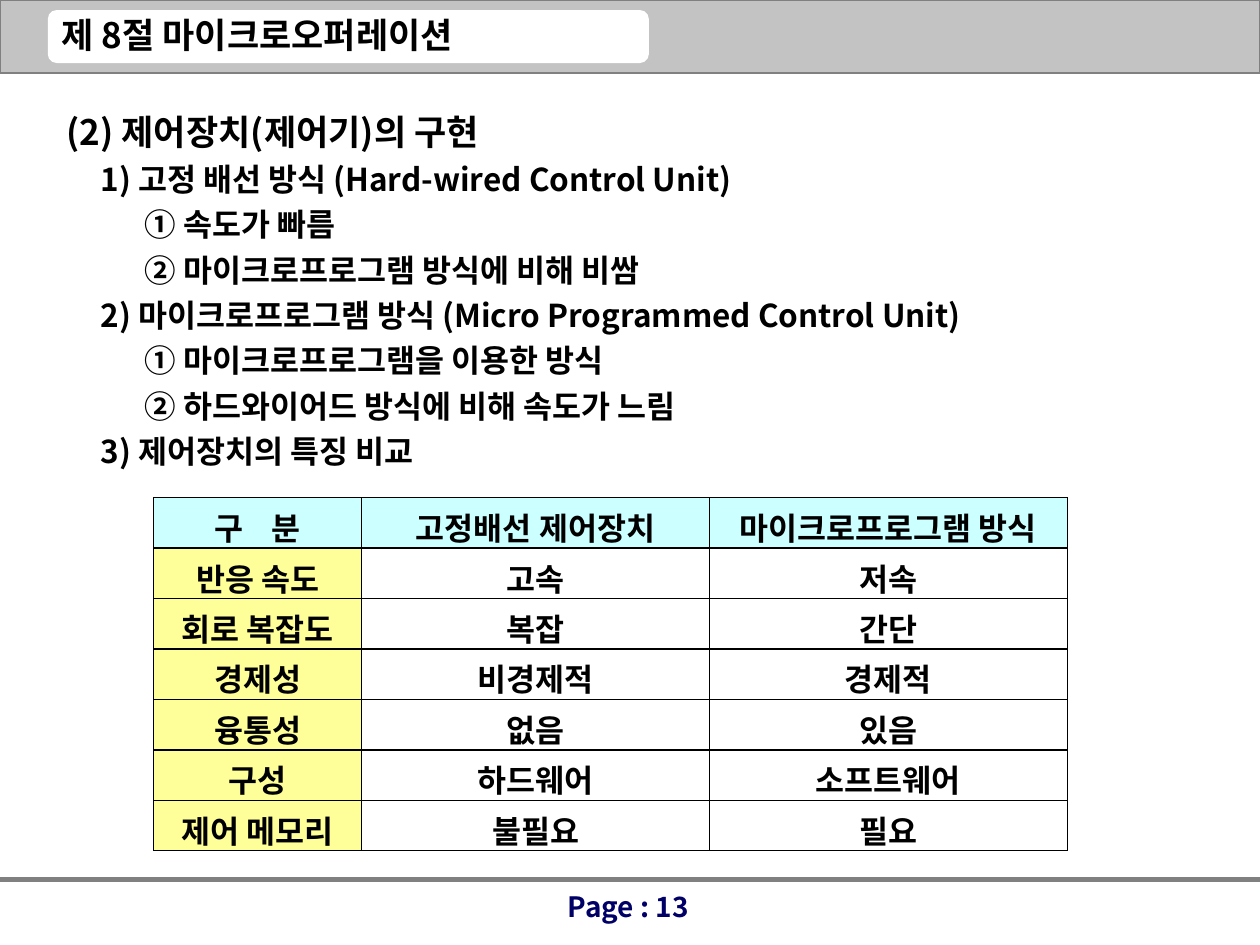
from dataclasses import dataclass

from lxml.etree import SubElement
from pptx import Presentation
from pptx.dml.color import RGBColor
from pptx.enum.shapes import MSO_CONNECTOR as Connector, MSO_SHAPE as Preset
from pptx.enum.text import PP_ALIGN as Align
from pptx.oxml.ns import qn
from pptx.util import Inches, Pt

FONT = "Noto Sans CJK KR"
BLACK = RGBColor(0x00, 0x00, 0x00)
WHITE = RGBColor(0xFF, 0xFF, 0xFF)
GRAY = RGBColor(0x80, 0x80, 0x80)
BAND_GRAY = RGBColor(0xC3, 0xC3, 0xC3)
NAVY = RGBColor(0x00, 0x00, 0x66)
HEADER_CYAN = RGBColor(0xCC, 0xFF, 0xFF)
LABEL_YELLOW = RGBColor(0xFF, 0xFF, 0x99)

LEVEL_INDENTS = (0, 0.27, 0.62)
COLUMN_WIDTHS = (1.65, 2.76, 2.84)
ROW_HEIGHT = 0.4
OUTER_LINE, INNER_LINE = 0.75, 1


@dataclass
class Line:
    text: str
    level: int = 0
    size: float = 18
    color: RGBColor = BLACK
    align: Align = Align.LEFT
    spacing: float = 1.0


OUTLINE = [
    Line("(2) 제어장치(제어기)의 구현", 0, 20, spacing=1.2),
    *(Line(text, level, spacing=1.2) for level, text in (
        (1, "1) 고정 배선 방식 (Hard-wired Control Unit)"),
        (2, "① 속도가 빠름"),
        (2, "② 마이크로프로그램 방식에 비해 비쌈"),
        (1, "2) 마이크로프로그램 방식 (Micro Programmed Control Unit)"),
        (2, "① 마이크로프로그램을 이용한 방식"),
        (2, "② 하드와이어드 방식에 비해 속도가 느림"),
        (1, "3) 제어장치의 특징 비교"),
    )),
]

COMPARISON = (
    ("구    분", "고정배선 제어장치", "마이크로프로그램 방식"),
    ("반응 속도", "고속", "저속"),
    ("회로 복잡도", "복잡", "간단"),
    ("경제성", "비경제적", "경제적"),
    ("융통성", "없음", "있음"),
    ("구성", "하드웨어", "소프트웨어"),
    ("제어 메모리", "불필요", "필요"),
)


def write_line(paragraph, line: Line) -> None:
    paragraph.text = line.text
    paragraph.alignment = line.align
    paragraph.line_spacing = line.spacing
    font = paragraph.font
    font.name, font.size, font.bold = FONT, Pt(line.size), True
    font.color.rgb = line.color
    properties = paragraph._p.get_or_add_pPr()
    if line.level:
        properties.set("marL", str(Inches(LEVEL_INDENTS[line.level])))
    # Korean glyphs take the East Asian typeface
    SubElement(properties.find(qn("a:defRPr")), qn("a:ea")).set("typeface", FONT)


def add_text(slide, left: float, top: float, width: float, height: float,
             lines: list[Line], wrap: bool = True) -> None:
    box = slide.shapes.add_textbox(Inches(left), Inches(top), Inches(width), Inches(height))
    frame = box.text_frame
    frame.word_wrap = wrap
    for index, line in enumerate(lines):
        write_line(frame.add_paragraph() if index else frame.paragraphs[0], line)


def add_panel(slide, preset: Preset, left: float, top: float, width: float,
              height: float, fill: RGBColor, border: RGBColor | None = None) -> None:
    shape = slide.shapes.add_shape(preset, Inches(left), Inches(top), Inches(width), Inches(height))
    shape.shadow.inherit = False
    shape.fill.solid()
    shape.fill.fore_color.rgb = fill
    if border is None:
        shape.line.fill.background()
    else:
        shape.line.color.rgb = border
        shape.line.width = Pt(0.75)


def add_rule(slide, top: float, color: RGBColor) -> None:
    rule = slide.shapes.add_connector(Connector.STRAIGHT, 0, Inches(top), Inches(10), Inches(top))
    rule.line.color.rgb = color
    rule.line.width = Pt(3)
    SubElement(rule._element.spPr, qn("a:effectLst"))


def set_borders(cell, widths: dict[str, float]) -> None:
    properties = cell._tc.get_or_add_tcPr()
    for index, (side, width) in enumerate(widths.items()):
        border = properties.makeelement(qn(f"a:{side}"), {"w": str(Pt(width))})
        fill = SubElement(border, qn("a:solidFill"))
        SubElement(fill, qn("a:srgbClr")).set("val", str(BLACK))
        properties.insert(index, border)


def add_comparison(slide, left: float, top: float) -> None:
    last_row, last_column = len(COMPARISON) - 1, len(COLUMN_WIDTHS) - 1
    table = slide.shapes.add_table(
        len(COMPARISON), len(COLUMN_WIDTHS), Inches(left), Inches(top),
        Inches(sum(COLUMN_WIDTHS)), Inches(ROW_HEIGHT * len(COMPARISON))).table
    for column, width in zip(table.columns, COLUMN_WIDTHS):
        column.width = Inches(width)
    for r, texts in enumerate(COMPARISON):
        table.rows[r].height = Inches(ROW_HEIGHT)
        for c, text in enumerate(texts):
            cell = table.cell(r, c)
            cell.fill.solid()
            cell.fill.fore_color.rgb = HEADER_CYAN if r == 0 else LABEL_YELLOW if c == 0 else WHITE
            paragraph = cell.text_frame.paragraphs[0]
            paragraph.space_before = Pt(3.6)
            write_line(paragraph, Line(text, align=Align.CENTER))
            edges = {"lnL": c == 0, "lnR": c == last_column, "lnT": r == 0, "lnB": r == last_row}
            set_borders(cell, {side: OUTER_LINE if outer else INNER_LINE
                               for side, outer in edges.items()})


def main() -> None:
    presentation = Presentation()
    presentation.slide_width, presentation.slide_height = Inches(10), Inches(7.5)
    slide = presentation.slides.add_slide(presentation.slide_layouts[6])

    # Header band and title
    add_rule(slide, 0.56, BLACK)
    add_panel(slide, Preset.RECTANGLE, 0, 0, 10, 0.58, BAND_GRAY, GRAY)
    add_rule(slide, 6.98, GRAY)
    add_panel(slide, Preset.ROUNDED_RECTANGLE, 0.38, 0.08, 4.77, 0.42, WHITE)
    add_text(slide, 0.39, 0.06, 3.54, 0.43, [Line("제 8절 마이크로오퍼레이션", size=20)], wrap=False)

    # Footer
    add_text(slide, 3.82, 7.01, 2.33, 0.52,
             [Line("Page : 13", size=16, color=NAVY, align=Align.CENTER)])

    # Outline and comparison table
    add_text(slide, 0.43, 0.76, 8.66, 3.03, OUTLINE)
    add_comparison(slide, 1.22, 3.95)

    presentation.save("out.pptx")


if __name__ == "__main__":
    main()
